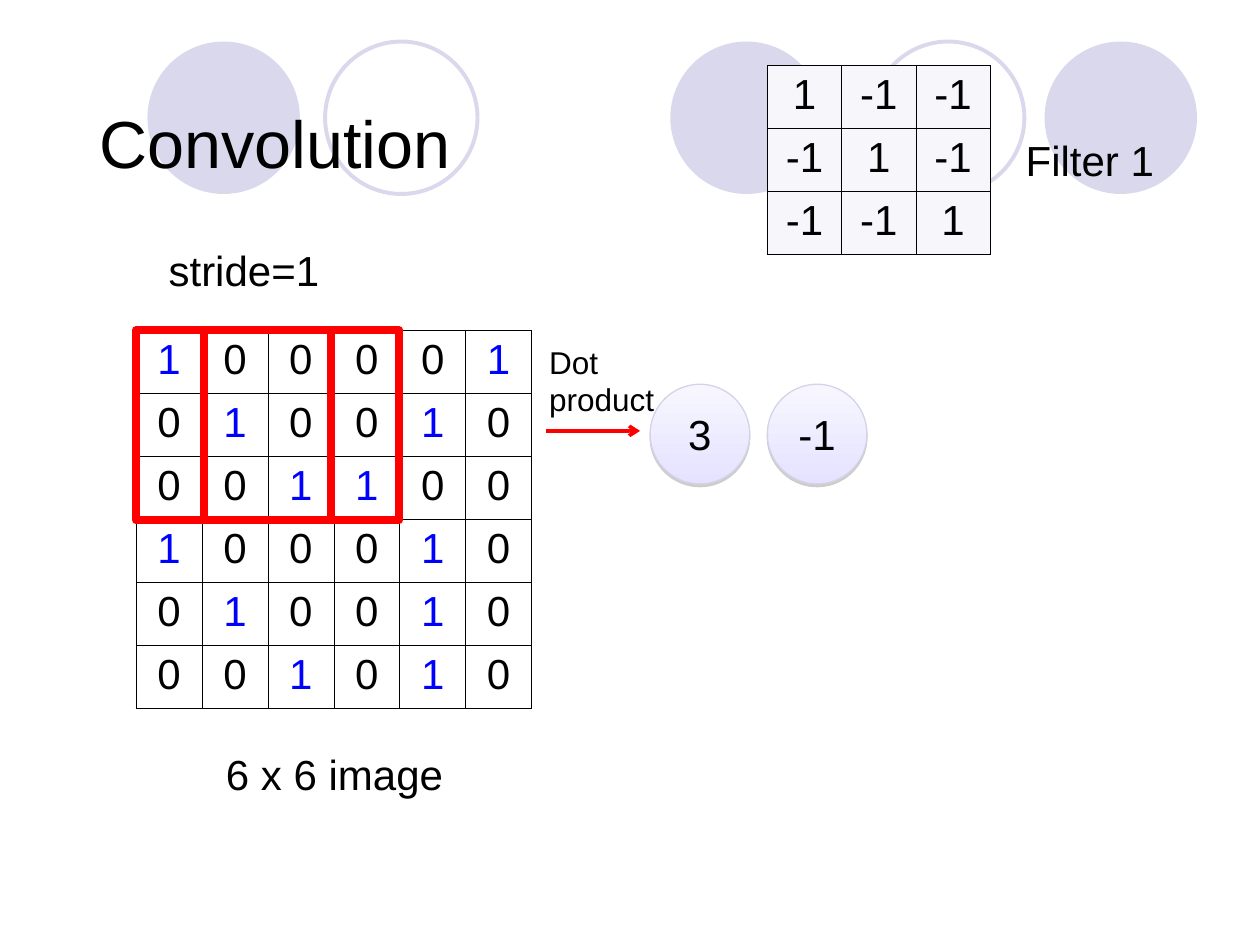
from dataclasses import dataclass
from typing import Optional

from lxml import etree
from pptx import Presentation, util as u
from pptx.dml.color import RGBColor
from pptx.enum import shapes, text
from pptx.oxml import ns, parse_xml

FONT = "Arial"
BLACK, BLUE, RED = "000000", "0000FF", "FF0000"
LAVENDER = "D9D8EC"
NAMESPACE = ns.nsdecls("a")


@dataclass
class Label:
    lines: list[str]
    left: float
    top: float
    width: float
    height: float
    size: float = 24
    centered: bool = False
    wrap: bool = True
    anchor: text.MSO_ANCHOR = text.MSO_ANCHOR.TOP
    auto_size: text.MSO_AUTO_SIZE = text.MSO_AUTO_SIZE.SHAPE_TO_FIT_TEXT


@dataclass
class Grid:
    rows: list[list[int]]
    left: float
    top: float
    cell_width: float
    cell_height: float
    fill: Optional[str] = None
    highlight_ones: bool = False


IMAGE = Grid(
    [
        [1, 0, 0, 0, 0, 1],
        [0, 1, 0, 0, 1, 0],
        [0, 0, 1, 1, 0, 0],
        [1, 0, 0, 0, 1, 0],
        [0, 1, 0, 0, 1, 0],
        [0, 0, 1, 0, 1, 0],
    ],
    1.08, 2.62, 3.14 / 6, 0.5, highlight_ones=True,
)
FILTER = Grid([[1, -1, -1], [-1, 1, -1], [-1, -1, 1]], 6.09, 0.52, 0.59, 0.5, fill="F7F7FB")

TITLE = Label(["Convolution"], 0.69, 0.4, 8.63, 1.45, size=38,
              anchor=text.MSO_ANCHOR.MIDDLE, auto_size=text.MSO_AUTO_SIZE.NONE)
LABELS = [
    Label(["6 x 6 image"], 1.37, 5.89, 2.57, 0.5, centered=True),
    Label(["Filter 1"], 7.86, 1.02, 1.58, 0.5, centered=True),
    Label(["stride=1"], 1.24, 1.89, 1.43, 0.5, wrap=False),
    Label(["Dot", "product"], 4.26, 2.67, 1.07, 0.7, size=18, wrap=False),
]


def rgb(value: str) -> RGBColor:
    return RGBColor.from_string(value)


def style_paragraph(paragraph, size: float, color: str = BLACK, centered: bool = False) -> None:
    paragraph.alignment = text.PP_ALIGN.CENTER if centered else text.PP_ALIGN.LEFT
    paragraph.font.name = FONT
    paragraph.font.size = u.Pt(size)
    paragraph.font.color.rgb = rgb(color)


def add_label(slide, label: Label) -> None:
    box = slide.shapes.add_textbox(
        u.Inches(label.left), u.Inches(label.top), u.Inches(label.width), u.Inches(label.height)
    )
    frame = box.text_frame
    frame.word_wrap = label.wrap
    frame.auto_size = label.auto_size
    frame.vertical_anchor = label.anchor
    frame.text = "\n".join(label.lines)
    for paragraph in frame.paragraphs:
        style_paragraph(paragraph, label.size, centered=label.centered)


def add_outline_shape(slide, kind, left: float, top: float, width: float, height: float,
                      line: Optional[str] = None, line_width: float = 0,
                      fill: Optional[str] = None):
    shape = slide.shapes.add_shape(
        kind, u.Inches(left), u.Inches(top), u.Inches(width), u.Inches(height)
    )
    shape.shadow.inherit = False
    if fill:
        shape.fill.solid()
        shape.fill.fore_color.rgb = rgb(fill)
    else:
        shape.fill.background()
    if line:
        shape.line.color.rgb = rgb(line)
        shape.line.width = u.Pt(line_width)
    else:
        shape.line.fill.background()
    return shape


def add_cell_borders(cell) -> None:
    properties = cell._tc.get_or_add_tcPr()
    for side in "LRTB":
        properties.append(parse_xml(
            f'<a:ln{side} {NAMESPACE} w="{u.Pt(0.45)}"><a:solidFill>'
            f'<a:srgbClr val="{BLACK}"/></a:solidFill></a:ln{side}>'
        ))


def add_grid(slide, grid: Grid) -> None:
    row_count, column_count = len(grid.rows), len(grid.rows[0])
    table = slide.shapes.add_table(
        row_count, column_count, u.Inches(grid.left), u.Inches(grid.top),
        u.Inches(grid.cell_width * column_count), u.Inches(grid.cell_height * row_count),
    ).table
    table.first_row = table.horz_banding = False
    for column in table.columns:
        column.width = u.Inches(grid.cell_width)
    for row, values in zip(table.rows, grid.rows):
        row.height = u.Inches(grid.cell_height)
        for cell, value in zip(row.cells, values):
            add_cell_borders(cell)
            if grid.fill:
                cell.fill.solid()
                cell.fill.fore_color.rgb = rgb(grid.fill)
            else:
                cell.fill.background()
            cell.text = str(value)
            color = BLUE if grid.highlight_ones and value == 1 else BLACK
            style_paragraph(cell.text_frame.paragraphs[0], 24, color, centered=True)


def add_result(slide, value: int, left: float) -> None:
    circle = add_outline_shape(slide, shapes.MSO_SHAPE.OVAL, left, 3.05, 0.79, 0.79, "D4D3E7", 0.75)
    circle.fill.gradient()
    circle.fill.gradient_angle = 270
    for stop, color in zip(circle.fill.gradient_stops, ("F7F6FF", "E5E3FF")):
        stop.color.rgb = rgb(color)
    effects = circle._element.spPr.find(ns.qn("a:effectLst"))
    effects.append(parse_xml(
        f'<a:outerShdw {NAMESPACE} blurRad="0" dist="{u.Pt(1.6)}" dir="5400000" rotWithShape="0">'
        '<a:srgbClr val="808080"><a:alpha val="38000"/></a:srgbClr></a:outerShdw>'
    ))
    frame = circle.text_frame
    frame.word_wrap = False
    frame.vertical_anchor = text.MSO_ANCHOR.MIDDLE
    frame.text = str(value)
    style_paragraph(frame.paragraphs[0], 24, centered=True)


def add_arrow(slide, start: float, end: float, top: float) -> None:
    arrow = slide.shapes.add_connector(
        shapes.MSO_CONNECTOR.STRAIGHT, u.Inches(start), u.Inches(top), u.Inches(end), u.Inches(top)
    )
    arrow.line.color.rgb = rgb(RED)
    arrow.line.width = u.Pt(2)
    etree.SubElement(arrow.line._get_or_add_ln(), ns.qn("a:tailEnd"), type="arrow")
    etree.SubElement(arrow._element.spPr, ns.qn("a:effectLst"))


def main() -> None:
    presentation = Presentation()
    presentation.slide_width, presentation.slide_height = u.Inches(10), u.Inches(7.5)
    slide = presentation.slides.add_slide(presentation.slide_layouts[6])

    oval = shapes.MSO_SHAPE.OVAL
    for left in (5.32, 8.29, 1.17):
        add_outline_shape(slide, oval, left, 0.33, 1.21, 1.21, fill=LAVENDER)
    for left in (6.92, 2.58):
        add_outline_shape(slide, oval, left, 0.33, 1.21, 1.21, LAVENDER, 2.25)

    add_label(slide, TITLE)
    add_grid(slide, IMAGE)
    add_grid(slide, FILTER)
    for left in (1.08, 1.62):
        add_outline_shape(slide, shapes.MSO_SHAPE.RECTANGLE, left, IMAGE.top, 1.55, 1.51, RED, 4.5)
    for value, left in ((3, 5.16), (-1, 6.09)):
        add_result(slide, value, left)
    add_arrow(slide, 4.33, 5.08, 3.42)
    for label in LABELS:
        add_label(slide, label)

    presentation.save("out.pptx")


if __name__ == "__main__":
    main()
